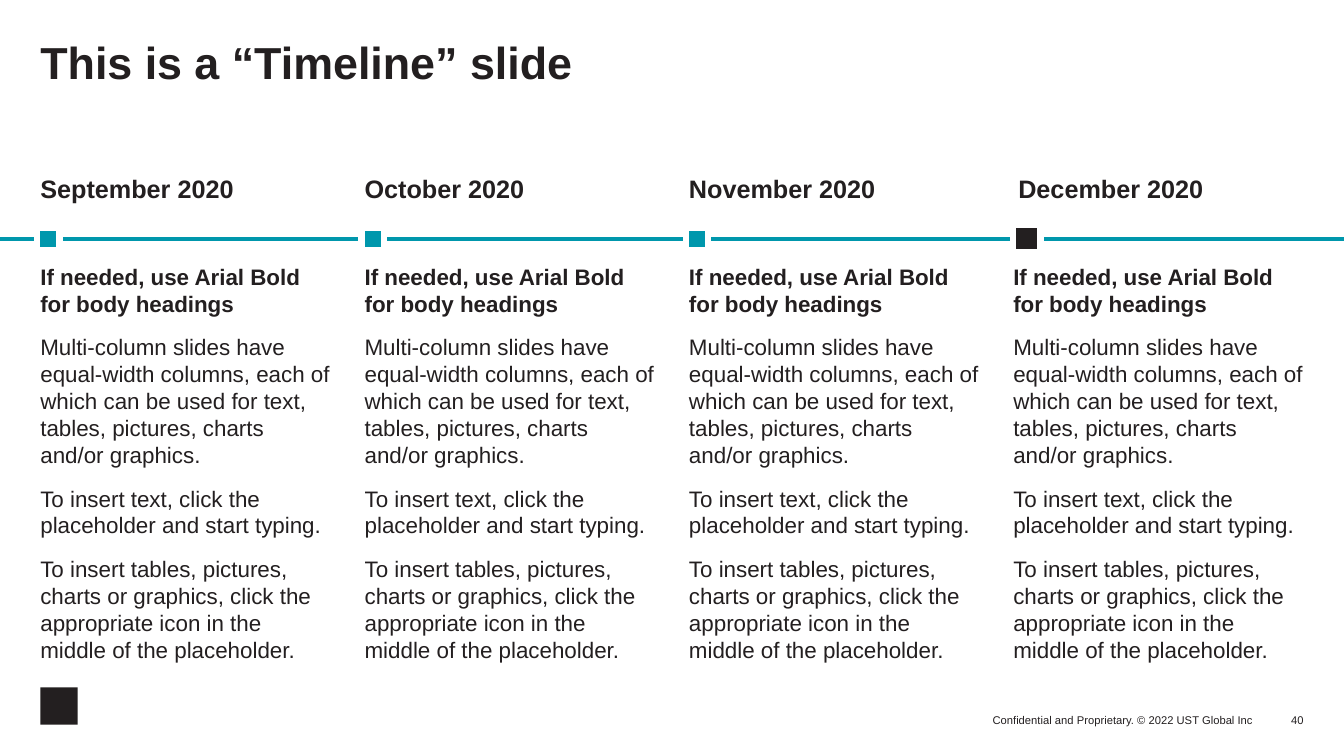
import pptx
import pptx.dml.color
import pptx.enum.shapes
import pptx.enum.text
import pptx.oxml
import pptx.util

Inches = pptx.util.Inches
ALIGN = pptx.enum.text.PP_ALIGN
ANCHOR = pptx.enum.text.MSO_ANCHOR
INK, TEAL, WHITE = "231F20", "0097AC", "FFFFFF"
MARGIN, CONTENT_WIDTH, COLUMN_WIDTH = 0.4, 12.53, 2.88
MONTHS = ["September 2020", "October 2020", "November 2020", "December 2020"]
BODY = [
    "If needed, use Arial Bold for body headings",
    "Multi-column slides have equal-width columns, each of which can be used for "
    "text, tables, pictures, charts and/or graphics.",
    "To insert text, click the placeholder and start typing.",
    "To insert tables, pictures, charts or graphics, click the appropriate icon in "
    "the middle of the placeholder.",
]


def color(value):
    """Return the RGB colour for a hex string."""
    return pptx.dml.color.RGBColor.from_string(value)


def apply(target, formats):
    """Set every attribute in a dict of format values."""
    for name, value in formats.items():
        setattr(target, name, value)


def place(box, left, top, width, height):
    """Move and size a box, in inches."""
    apply(box, {"left": Inches(left), "top": Inches(top),
                "width": Inches(width), "height": Inches(height)})


def write(box, texts, size, bold_count=0, anchor=ANCHOR.TOP, wrap=True, **layout):
    """Fill a box with paragraphs, the first bold_count of them bold."""
    frame = box.text_frame
    apply(frame, {"margin_left": 0, "margin_top": 0, "margin_right": 0,
                  "margin_bottom": 0, "word_wrap": wrap, "vertical_anchor": anchor,
                  "auto_size": pptx.enum.text.MSO_AUTO_SIZE.NONE})
    for index, text in enumerate(texts):
        para = frame.paragraphs[0] if index == 0 else frame.add_paragraph()
        properties = para._p.get_or_add_pPr()
        properties.set("marL", "0")
        properties.set("indent", "0")
        pptx.oxml.ns.qn("a:buNone")
        properties.append(properties.makeelement(pptx.oxml.ns.qn("a:buNone"), {}))
        apply(para, {"alignment": ALIGN.LEFT,
                     "space_before": pptx.util.Pt(12 if index else 0), **layout})
        span = para.add_run()
        apply(span, {"text": text})
        apply(span.font, {"name": "Arial", "size": pptx.util.Pt(size),
                          "bold": index < bold_count})
        span.font.color.rgb = color(INK)


def add_text(page, box, text, size, **formats):
    """Add a one-paragraph text box."""
    label = page.shapes.add_textbox(0, 0, 0, 0)
    place(label, *box)
    write(label, [text], size, **formats)


def add_square(page, left, top, size, fill, outline=None):
    """Add a filled square, outlined if an outline colour is given."""
    square = page.shapes.add_shape(
        pptx.enum.shapes.MSO_SHAPE.RECTANGLE,
        Inches(left), Inches(top), Inches(size), Inches(size))
    square.shadow.inherit = False
    square.fill.solid()
    square.fill.fore_color.rgb = color(fill)
    if outline:
        square.line.color.rgb = color(outline)
        square.line.width = pptx.util.Pt(4.5)
    else:
        square.line.fill.background()


def add_axis(page, top, width):
    """Draw the timeline across the page."""
    axis = page.shapes.add_connector(
        pptx.enum.shapes.MSO_CONNECTOR.STRAIGHT,
        0, Inches(top), Inches(width), Inches(top))
    axis.line.color.rgb = color(TEAL)
    axis.line.width = pptx.util.Pt(3)
    properties = axis._element.spPr
    properties.append(properties.makeelement(pptx.oxml.ns.qn("a:effectLst"), {}))


def add_month(page, body, left, axis_top, month, current):
    """Place a month label, its marker and its body column."""
    shift = 0.05 if current else 0
    add_text(page, (left + shift, axis_top - 0.65, COLUMN_WIDTH - shift, 0.3),
             month, 18, bold_count=1)
    size = 0.27 if current else 0.22
    marker_left = left if current else left - 0.03
    add_square(page, marker_left, axis_top - size / 2, size,
               INK if current else TEAL, WHITE)
    place(body, left, axis_top + 0.24, COLUMN_WIDTH, 3.99)
    write(body, BODY, 16, bold_count=1)


def add_footer(page, left, top, width):
    """Place the plain mark, the copyright line and the page number."""
    right = left + width
    add_square(page, left, top, 0.37, INK)
    add_text(page, (right - 3.94, top + 0.19, 3.44, 0.2),
             "Confidential and Proprietary. © 2022 UST Global Inc", 8,
             anchor=ANCHOR.BOTTOM, alignment=ALIGN.RIGHT)
    add_text(page, (right - 0.5, top + 0.09, 0.5, 0.3), "40", 8,
             anchor=ANCHOR.BOTTOM, alignment=ALIGN.RIGHT)


def add_timeline(page, left, axis_top, width):
    """Spread the months evenly along the axis."""
    add_axis(page, axis_top, 13.33)
    step = (width - COLUMN_WIDTH) / (len(MONTHS) - 1)
    bodies = list(page.placeholders)[1:]
    for index, (month, body) in enumerate(zip(MONTHS, bodies)):
        add_month(page, body, left + index * step, axis_top, month,
                  current=index == len(MONTHS) - 1)


def main():
    """Build and save the timeline slide."""
    deck = pptx.Presentation()
    apply(deck, {"slide_width": Inches(13.33), "slide_height": Inches(7.5)})
    page = deck.slides.add_slide(deck.slide_layouts.get_by_name("Comparison"))
    title = page.shapes.title
    place(title, MARGIN, 0.4, CONTENT_WIDTH, 1)
    write(title, ["This is a “Timeline” slide"], 32, bold_count=1, line_spacing=0.9)
    add_timeline(page, MARGIN, 2.37, CONTENT_WIDTH)
    add_footer(page, MARGIN, 6.82, CONTENT_WIDTH)
    deck.save("out.pptx")


if __name__ == "__main__":
    main()
